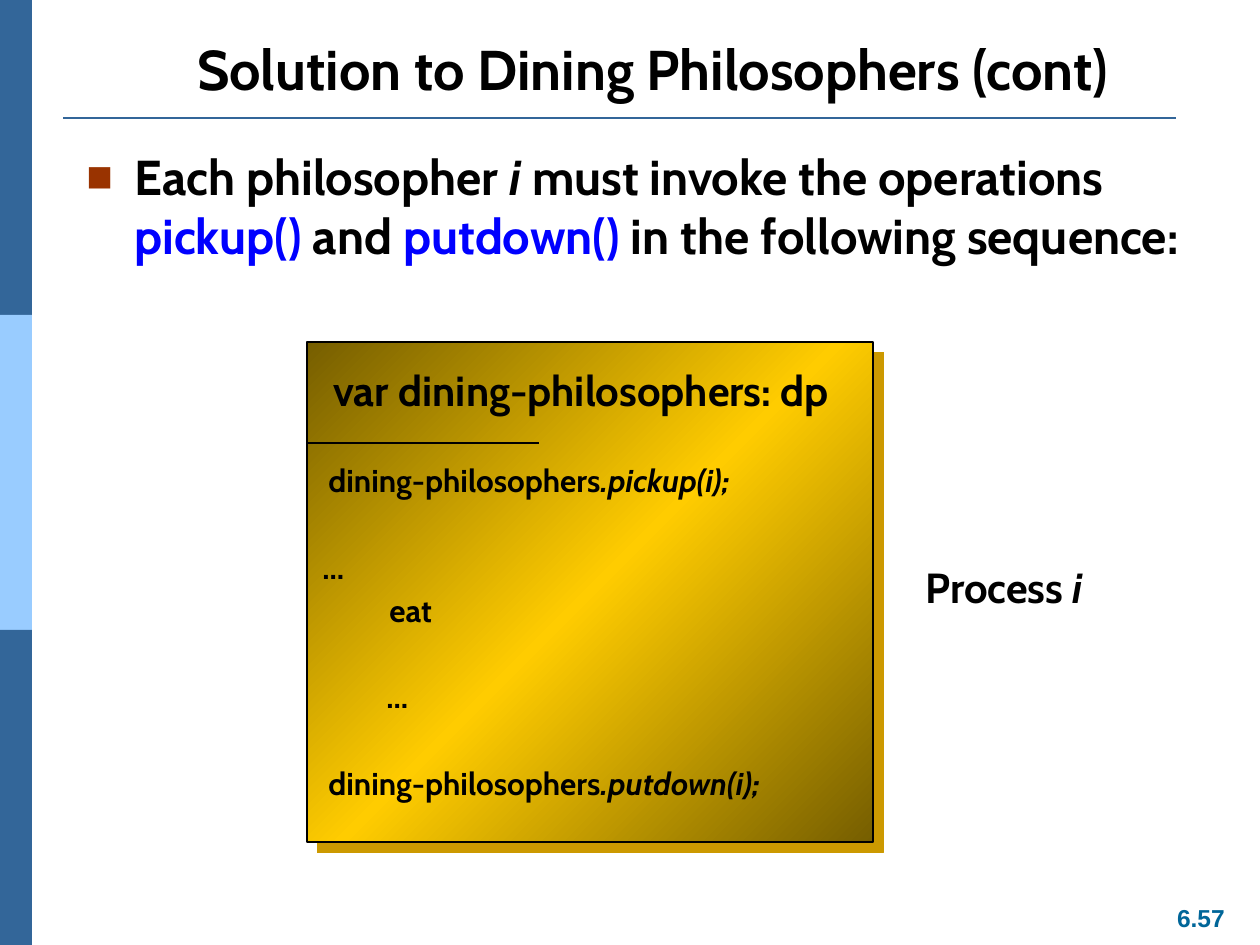
from dataclasses import dataclass

from lxml import etree
from pptx import Presentation
from pptx.dml.color import RGBColor
from pptx.enum.shapes import MSO_CONNECTOR, MSO_SHAPE
from pptx.enum.text import MSO_ANCHOR, PP_ALIGN
from pptx.oxml import parse_xml
from pptx.oxml.ns import nsdecls, qn
from pptx.util import Emu, Pt


@dataclass(frozen=True)
class Theme:
    font: str = "Cabin"
    number_font: str = "Arial"
    black: str = "000000"
    dark_blue: str = "336699"
    light_blue: str = "99CCFF"
    number_blue: str = "006699"
    call_blue: str = "0000FF"
    bullet: str = "993300"
    gold: str = "FFCC00"
    dark_gold: str = "765E00"
    shadow: str = "CC9900"
    title: int = 32
    body: int = 28
    heading: int = 24
    code: int = 18
    number: int = 14


theme = Theme()
SCALE = 914400 / 126  # EMU in one px


def px(*lengths):
    return [Emu(round(length * SCALE)) for length in lengths]


def add_text(box, lines, size, align=PP_ALIGN.LEFT, spacing=1.0, font=theme.font):
    """Each line is a list of (text, colour, italic) runs."""
    text_frame = slide.shapes.add_textbox(*px(*box)).text_frame
    text_frame.word_wrap = True
    for index, line in enumerate(lines):
        paragraph = text_frame.paragraphs[0] if index == 0 else text_frame.add_paragraph()
        paragraph.alignment = align
        paragraph.line_spacing = spacing
        for text, colour, italic in line:
            run = paragraph.add_run()
            run.text = text
            run.font.name = font
            run.font.size = Pt(size)
            run.font.bold = True
            run.font.italic = italic
            run.font.color.rgb = RGBColor.from_string(colour)
    return text_frame


presentation = Presentation()
presentation.slide_width, presentation.slide_height = px(1260, 945)
slide = presentation.slides.add_slide(presentation.slide_layouts[6])

# Side bands
for index, colour in enumerate([theme.dark_blue, theme.light_blue, theme.dark_blue]):
    band = slide.shapes.add_shape(MSO_SHAPE.RECTANGLE, *px(0, 315 * index, 32, 315))
    band.shadow.inherit = False
    band.fill.solid()
    band.fill.fore_color.rgb = RGBColor.from_string(colour)
    band.line.fill.background()

# Title and page number
title = add_text((72, 20, 1162, 88), [[("Solution to Dining Philosophers (cont)", theme.black, False)]],
                 theme.title, PP_ALIGN.CENTER)
title.vertical_anchor = MSO_ANCHOR.BOTTOM
add_text((1163, 897, 76, 43), [[("6.57", theme.number_blue, False)]],
         theme.number, PP_ALIGN.CENTER, font=theme.number_font)

# Bulleted statement
statement = add_text((74, 71, 1159, 726), [[
    ("Each philosopher ", theme.black, False),
    ("i ", theme.black, True),
    ("must invoke the operations ", theme.black, False),
    ("pickup() ", theme.call_blue, False),
    ("and ", theme.black, False),
    ("putdown()", theme.call_blue, False),
    (" in the following sequence:", theme.black, False),
]], theme.body)
statement.margin_top = px(76)[0]
properties = statement.paragraphs[0]._p.get_or_add_pPr()
indent = px(48)[0]
properties.set("marL", str(indent))
properties.set("indent", str(-indent))
bullet_colour = etree.SubElement(properties, qn("a:buClr"))
etree.SubElement(bullet_colour, qn("a:srgbClr"), val=theme.bullet)
etree.SubElement(properties, qn("a:buSzPct"), val="90000")
etree.SubElement(properties, qn("a:buFont"), typeface=theme.number_font)
etree.SubElement(properties, qn("a:buChar"), char="■")

# Gold code panel with gradient and offset shadow
panel = slide.shapes.add_shape(MSO_SHAPE.RECTANGLE, *px(307, 342, 566, 500))
panel.shadow.inherit = False
panel.fill.gradient()
panel.line.color.rgb = RGBColor.from_string(theme.black)
panel.line.width = Pt(1)
stops = "".join(
    f'<a:gs pos="{position}"><a:srgbClr val="{colour}"/></a:gs>'
    for position, colour in [(0, theme.dark_gold), (50000, theme.gold), (100000, theme.dark_gold)]
)
panel_properties = panel._element.spPr
panel_properties.replace(panel_properties.find(qn("a:gradFill")), parse_xml(
    f'<a:gradFill {nsdecls("a")} rotWithShape="1"><a:gsLst>{stops}</a:gsLst>'
    '<a:lin ang="2700000" scaled="1"/></a:gradFill>'))
panel_properties.replace(panel_properties.find(qn("a:effectLst")), parse_xml(
    f'<a:effectLst {nsdecls("a")}><a:outerShdw dist="{Pt(8.5)}" dir="2700000" algn="ctr" '
    f'rotWithShape="0"><a:srgbClr val="{theme.shadow}"/></a:outerShdw></a:effectLst>'))

# Rules under the title and the panel heading
for left, right, top, colour, width in [
    (63, 1176, 118, theme.dark_blue, 1.5),
    (307, 539, 443, theme.black, 1),
]:
    rule = slide.shapes.add_connector(MSO_CONNECTOR.STRAIGHT, *px(left, top, right, top))
    rule.line.color.rgb = RGBColor.from_string(colour)
    rule.line.width = Pt(width)
    etree.SubElement(rule._element.spPr, qn("a:effectLst"))

# Panel heading and process label
add_text((321, 364, 522, 58), [[("var dining-philosophers: dp", theme.black, False)]],
         theme.heading, spacing=0.9)
add_text((913, 561, 184, 58), [[("Process ", theme.black, False), ("i", theme.black, True)]],
         theme.heading, spacing=0.9)

# Code lines: indent in px, space before in points, plain part, italic part
GAP, SKIPPED_LINE = 5.2, 30.1
code_lines = [
    (6, 0, "dining-philosophers", ".pickup(i);"),
    (0, SKIPPED_LINE, "...", ""),
    (67, GAP, "eat", ""),
    (64, SKIPPED_LINE, "...", ""),
    (6, SKIPPED_LINE, "dining-philosophers", ".putdown(i);"),
]
code = add_text((310, 459, 470, 368), [
    [(text, theme.black, italic) for text, italic in [(plain, False), (call, True)] if text]
    for _, _, plain, call in code_lines
], theme.code, spacing=0.9)
for paragraph, (indent, space, _, _) in zip(code.paragraphs, code_lines):
    paragraph.space_before = Pt(space)
    paragraph._p.get_or_add_pPr().set("marL", str(px(indent)[0]))

presentation.save("out.pptx")
